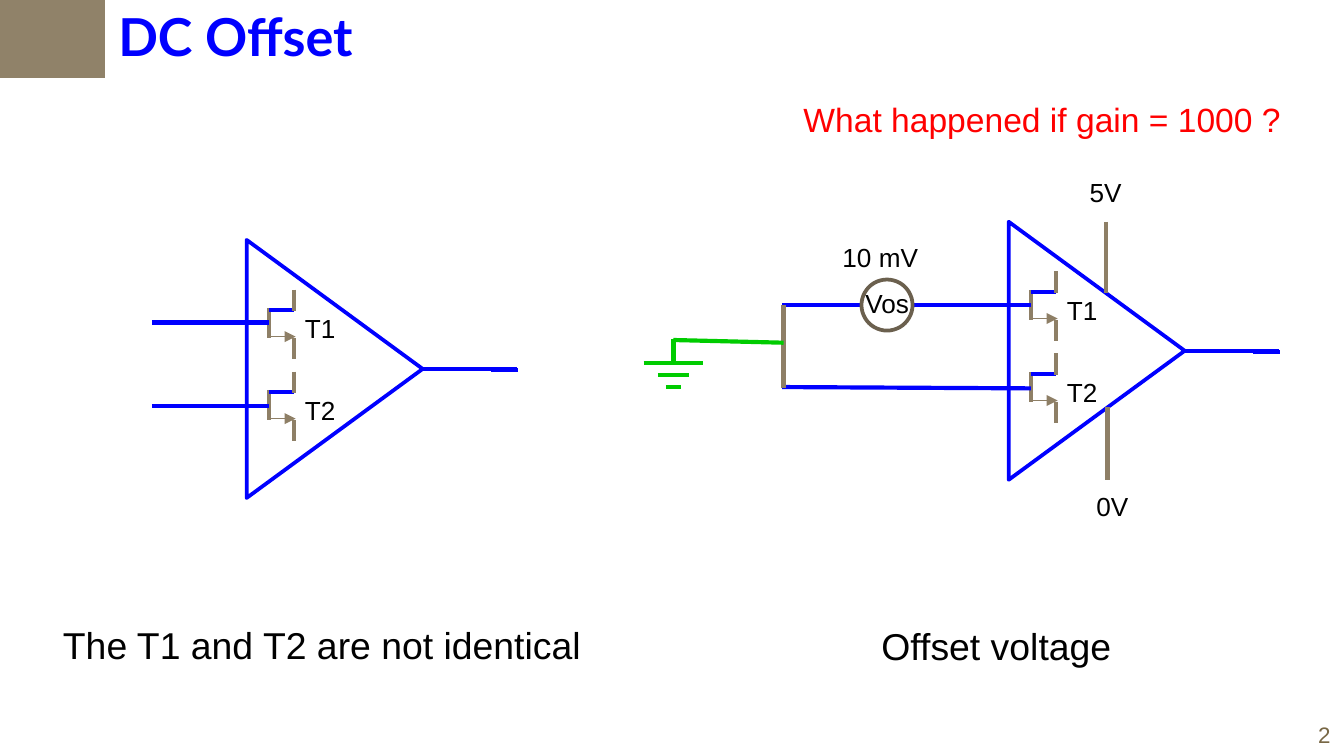
"""Build the DC offset slide on a grid of 1000 columns by 562.5 rows."""
from lxml import etree
from pptx import Presentation
from pptx.dml.color import RGBColor
from pptx.enum.shapes import MSO_CONNECTOR, MSO_SHAPE
from pptx.enum.text import MSO_ANCHOR, MSO_AUTO_SIZE, PP_ALIGN
from pptx.oxml.ns import qn
from pptx.util import Inches, Pt

STRAIGHT = MSO_CONNECTOR.STRAIGHT
RECTANGLE = MSO_SHAPE.RECTANGLE
TRIANGLE = MSO_SHAPE.ISOSCELES_TRIANGLE
OVAL = MSO_SHAPE.OVAL
TOP = MSO_ANCHOR.TOP
LEFT = PP_ALIGN.LEFT
FIT_TEXT = MSO_AUTO_SIZE.SHAPE_TO_FIT_TEXT
COLUMNS, ROWS = 1000, 562.5
BLUE, TAUPE, GREEN = "0000FF", "8E7F66", "00CC00"
BLACK, RED, BROWN = "000000", "FF0000", "6B604E"
TITLE_ONLY = 5


def color(value):
    """Turn a hex string into a colour."""
    return RGBColor.from_string(value)


def grid(*cells):
    """Turn grid counts into lengths."""
    return [Inches(cell / 100) for cell in cells]


def style_text(frame, text, size, text_color, font="Arial", bold=False):
    """Write one formatted paragraph on a single line."""
    frame.word_wrap = False
    frame.auto_size = FIT_TEXT
    frame.vertical_anchor = TOP
    paragraph = frame.paragraphs[0]
    paragraph.text = text
    paragraph.alignment = LEFT
    paragraph.font.name = font
    paragraph.font.size = Pt(size)
    paragraph.font.bold = bold
    paragraph.font.color.rgb = color(text_color)


def add_title(slide, text, box):
    """Place the title placeholder."""
    title = slide.shapes.title
    title.left, title.top, title.width, title.height = grid(*box)
    style_text(title.text_frame, text, 28, BLUE, "Lato", True)


def add_label(slide, text, box, size=14, text_color=BLACK):
    """Add a text box."""
    label = slide.shapes.add_textbox(*grid(*box))
    style_text(label.text_frame, text, size, text_color)


def add_wire(slide, start, end, line_color=BLUE, width=2.25, arrow=False):
    """Add a straight line, with an arrowhead at its end if asked."""
    wire = slide.shapes.add_connector(STRAIGHT, *grid(*start, *end))
    wire.line.color.rgb = color(line_color)
    wire.line.width = Pt(width)
    if arrow:
        line = wire._element.spPr.find(qn("a:ln"))
        etree.SubElement(line, qn("a:tailEnd"), type="triangle")
    etree.SubElement(wire._element.spPr, qn("a:effectLst"))


def add_outline(slide, kind, box, line_color, rotation=0):
    """Add an unfilled preset shape."""
    shape = slide.shapes.add_shape(kind, *grid(*box))
    shape.shadow.inherit = False
    shape.fill.background()
    shape.line.color.rgb = color(line_color)
    shape.line.width = Pt(2)
    shape.rotation = rotation


def add_corner_block(slide, box):
    """Add the filled block beside the title."""
    block = slide.shapes.add_shape(RECTANGLE, *grid(*box))
    block.shadow.inherit = False
    block.fill.solid()
    block.fill.fore_color.rgb = color("908269")
    block.line.fill.background()


def add_transistor(slide, name, x, y):
    """Add a transistor whose gate starts at x, y."""
    drain = x + 19
    add_wire(slide, (x, y), (x, y + 22), TAUPE)
    add_wire(slide, (x, y + 1), (drain, y + 1))
    add_wire(slide, (drain, y - 14), (drain, y + 2), TAUPE)
    add_wire(slide, (drain, y + 22), (drain, y + 38), TAUPE)
    add_wire(slide, (x - 1, y + 21), (x + 20, y + 21), TAUPE, 0.75, True)
    add_label(slide, name, (x + 17, y - 2, 43, 34))


def add_amplifier(slide, x, y):
    """Add an amplifier whose bounding box starts at x, y."""
    add_outline(slide, TRIANGLE, (x - 30.5, y + 30.5, 192, 131), BLUE, 90)
    add_wire(slide, (x + 128, y + 96), (x + 201, y + 96))
    add_wire(slide, (x + 182, y + 97), (x + 202, y + 97))
    for index, name in enumerate(("T1", "T2")):
        add_transistor(slide, name, x + 16.5, y + 51 + 61 * index)


def add_ground(slide, x, y):
    """Add a ground symbol centred on x, with its lead starting at y."""
    add_wire(slide, (x, y + 1), (x + 82, y + 3), GREEN)
    add_wire(slide, (x, y), (x, y + 19), GREEN, 3)
    for step, half_width in enumerate((22, 11.5, 5.5)):
        row = y + 18 + 9 * step
        add_wire(slide, (x - half_width, row), (x + half_width, row), GREEN)


def add_offset_source(slide):
    """Add the offset source, its wiring and the supply lines."""
    add_wire(slide, (582, 227), (641, 227))
    add_wire(slide, (680, 227), (767, 227))
    add_wire(slide, (582, 288), (767, 289))
    add_wire(slide, (583, 227), (583, 289), TAUPE)
    add_outline(slide, OVAL, (641, 208, 38, 38), BROWN)
    add_wire(slide, (823, 165), (823, 218), TAUPE)
    add_wire(slide, (824, 303), (824, 357), TAUPE)
    add_label(slide, "5V", (801, 126, 44, 34))
    add_label(slide, "0V", (806, 360, 44, 34))
    add_label(slide, "10 mV", (617, 175, 77, 34))
    add_label(slide, "Vos", (634, 209, 53, 34))


def main():
    """Build and save the slide."""
    presentation = Presentation()
    presentation.slide_width, presentation.slide_height = grid(COLUMNS, ROWS)
    slide = presentation.slides.add_slide(presentation.slide_layouts[TITLE_ONLY])
    add_corner_block(slide, (0, 0, 78, 58))
    add_title(slide, "DC Offset", (78, -2, 204, 57))
    add_label(slide, "2", (971, 532, 29, 30), 12, "786745")

    add_amplifier(slide, 183.5, 178.5)
    for row in (240, 302):
        add_wire(slide, (113, row), (200, row))
    add_label(slide, "The T1 and T2 are not identical", (37, 458, 410, 44), 20)

    add_amplifier(slide, 750.5, 165)
    add_offset_source(slide)
    add_ground(slide, 501, 252)
    add_label(slide, "What happened if gain = 1000 ?", (588, 69, 379, 40), 18, RED)
    add_label(slide, "Offset voltage", (646, 459, 193, 44), 20)
    presentation.save("out.pptx")


if __name__ == "__main__":
    main()
